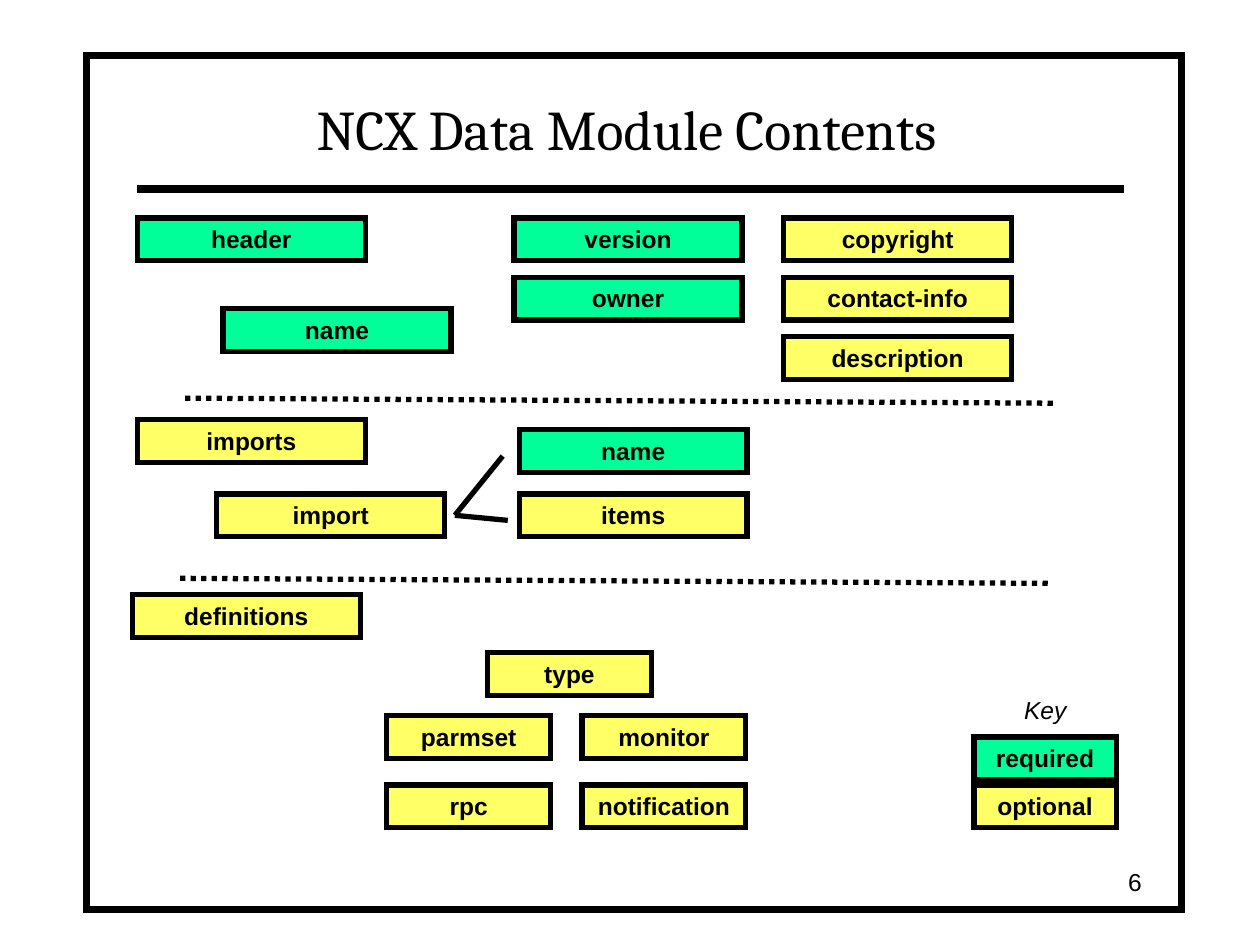
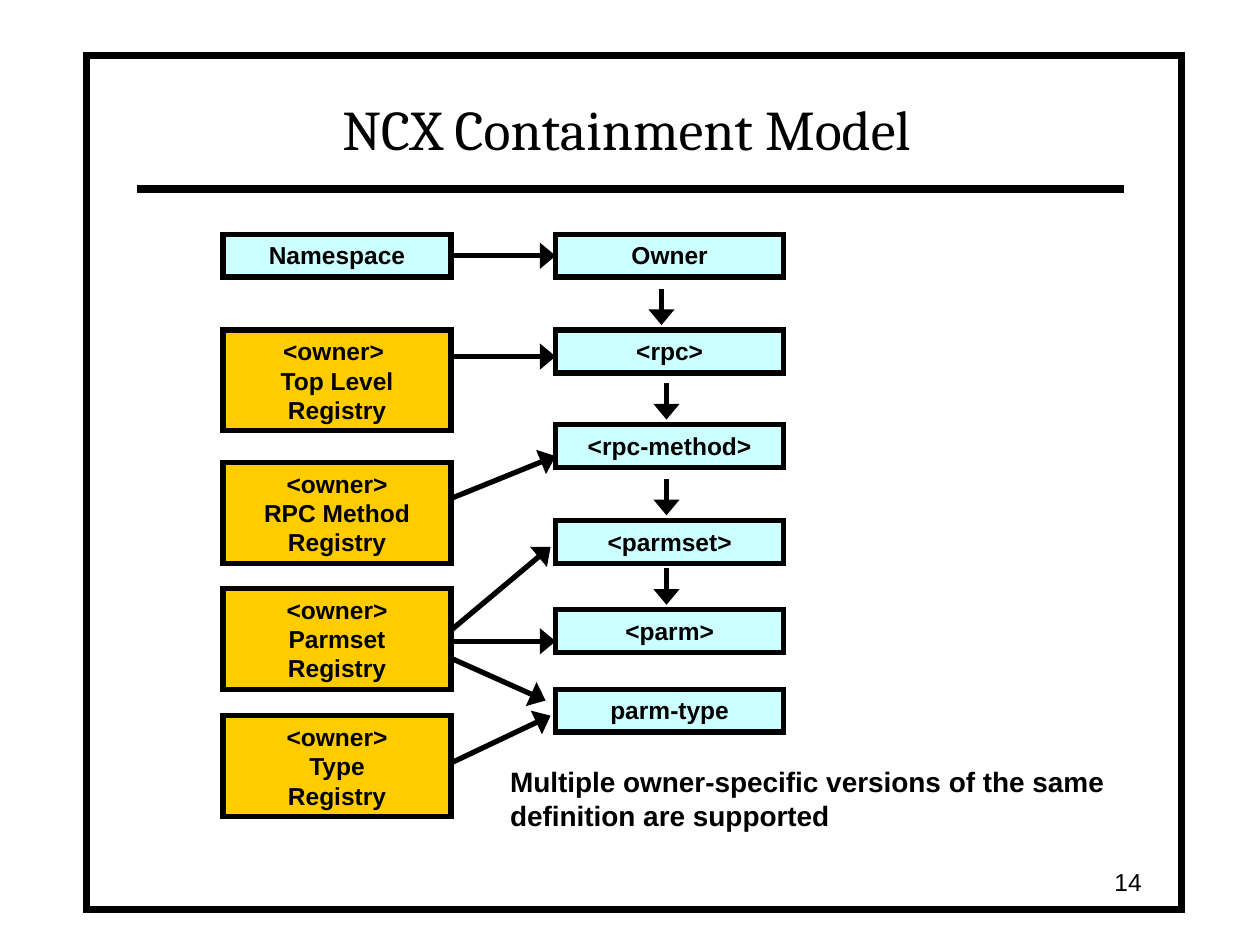
from lxml import etree
from pptx import Presentation
from pptx.dml.color import RGBColor
from pptx.enum import dml, shapes, text
from pptx.oxml import ns
from pptx.util import Inches, Pt

BLACK = RGBColor(0x00, 0x00, 0x00)
WHITE = RGBColor(0xFF, 0xFF, 0xFF)
REQUIRED = RGBColor(0x00, 0xFF, 0x99)
OPTIONAL = RGBColor(0xFF, 0xFF, 0x66)
ELEMENT = RGBColor(0xCC, 0xFF, 0xFF)
REGISTRY = RGBColor(0xFF, 0xCC, 0x00)

BODY_FONT = "Arial"
TITLE_FONT = "Cambria"
BOX_WIDTH, BOX_HEIGHT = 1.81, 0.34
SMALL_WIDTH, KEY_WIDTH = 1.3, 1.13
REGISTRY_HEIGHT = 0.8


def add_run(paragraph, content, size=14, name=BODY_FONT, bold=False, italic=False):
    run = paragraph.add_run()
    run.text = content
    font = run.font
    font.name, font.size = name, Pt(size)
    font.bold, font.italic = bold, italic
    font.color.rgb = BLACK


def add_outline_detail(shape, tag, **attributes):
    """Append an element such as a line join or arrowhead to the outline."""
    outline = shape.element.spPr.find(ns.qn("a:ln"))
    etree.SubElement(outline, ns.qn(tag), **attributes)


def add_rectangle(slide, left, top, width, height, fill, line_width):
    shape = slide.shapes.add_shape(shapes.MSO_SHAPE.RECTANGLE, Inches(left),
                                   Inches(top), Inches(width), Inches(height))
    shape.shadow.inherit = False
    shape.fill.solid()
    shape.fill.fore_color.rgb = fill
    shape.line.color.rgb = BLACK
    shape.line.width = Pt(line_width)
    add_outline_detail(shape, "a:miter", lim="800000")
    return shape


def add_box(slide, label, left, top, fill, width=BOX_WIDTH, height=BOX_HEIGHT):
    """Add an outlined box whose label may span several lines."""
    shape = add_rectangle(slide, left, top, width, height, fill, 3)
    frame = shape.text_frame
    frame.word_wrap = True
    frame.vertical_anchor = text.MSO_ANCHOR.TOP
    frame.auto_size = text.MSO_AUTO_SIZE.SHAPE_TO_FIT_TEXT
    paragraph = frame.paragraphs[0]
    paragraph.alignment = text.PP_ALIGN.CENTER
    for index, line in enumerate(label.split("\n")):
        if index:
            paragraph.add_line_break()
        add_run(paragraph, line, bold=True)
    return shape


def add_line(slide, start_x, start_y, end_x, end_y, width=3, dotted=False, arrow=False):
    connector = slide.shapes.add_connector(
        shapes.MSO_CONNECTOR.STRAIGHT, Inches(start_x), Inches(start_y),
        Inches(end_x), Inches(end_y))
    line = connector.line
    line.color.rgb = BLACK
    line.width = Pt(width)
    if dotted:
        line.dash_style = dml.MSO_LINE.ROUND_DOT
    if arrow:
        add_outline_detail(connector, "a:tailEnd", type="triangle", w="lg", len="med")
    etree.SubElement(connector.element.spPr, ns.qn("a:effectLst"))
    return connector


def add_text(slide, content, left, top, width, height, align=text.PP_ALIGN.LEFT,
             anchor=text.MSO_ANCHOR.TOP, **style):
    frame = slide.shapes.add_textbox(Inches(left), Inches(top), Inches(width),
                                     Inches(height)).text_frame
    frame.word_wrap = True
    frame.vertical_anchor = anchor
    paragraph = frame.paragraphs[0]
    paragraph.alignment = align
    add_run(paragraph, content, **style)


def decorate_layout(layout, slide):
    """Give the layout its title position, page frame and title rule."""
    title = layout.placeholders[0]
    title.left, title.top = Inches(1.08), Inches(0.58)
    title.width, title.height = Inches(7.79), Inches(0.75)
    page_frame = add_rectangle(slide, 0.69, 0.44, 8.69, 6.78, WHITE, 4)
    title_rule = add_line(slide, 1.09, 1.5, 8.92, 1.5, width=4.5)
    for index, shape in enumerate((page_frame, title_rule)):
        shape.element.xpath(".//p:cNvPr")[0].set("id", str(100 + index))
        layout.shapes.element.insert(2 + index, shape.element)


def add_titled_slide(presentation, title, number):
    layout = presentation.slide_layouts[5]
    slide = presentation.slides.add_slide(layout)
    if len(presentation.slides) == 1:
        decorate_layout(layout, slide)
    frame = slide.shapes.title.text_frame
    frame.word_wrap = True
    frame.auto_size = text.MSO_AUTO_SIZE.NONE
    frame.vertical_anchor = text.MSO_ANCHOR.BOTTOM
    paragraph = frame.paragraphs[0]
    paragraph.alignment = text.PP_ALIGN.CENTER
    add_run(paragraph, title, size=32, name=TITLE_FONT)
    add_text(slide, number, 7.08, 6.83, 2.08, 0.33,
             align=text.PP_ALIGN.RIGHT, anchor=text.MSO_ANCHOR.MIDDLE)
    return slide


def add_header_section(slide, left, top):
    add_box(slide, "header", left, top, REQUIRED)
    add_box(slide, "name", left + 0.68, top + 0.72, REQUIRED)
    columns = ((2.99, REQUIRED, ("version", "owner")),
               (5.13, OPTIONAL, ("copyright", "contact-info", "description")))
    for offset, fill, labels in columns:
        for row, label in enumerate(labels):
            add_box(slide, label, left + offset, top + row * 0.47, fill)


def add_imports_section(slide, left, top):
    add_box(slide, "imports", left, top, OPTIONAL)
    add_box(slide, "import", left + 0.63, top + 0.59, OPTIONAL)
    add_box(slide, "name", left + 3.03, top + 0.08, REQUIRED)
    add_box(slide, "items", left + 3.03, top + 0.59, OPTIONAL)
    for end_x, end_y in ((2.9, 0.29), (2.94, 0.8)):
        add_line(slide, left + 2.52, top + 0.76, left + end_x, top + end_y)


def add_definitions_section(slide, left, top):
    add_box(slide, "definitions", left, top, OPTIONAL)
    add_box(slide, "type", left + 2.82, top + 0.46, OPTIONAL, SMALL_WIDTH)
    for row, labels in enumerate((("parmset", "monitor"), ("rpc", "notification"))):
        for column, label in enumerate(labels):
            add_box(slide, label, left + 2.02 + column * 1.55,
                    top + 0.96 + row * 0.55, OPTIONAL, SMALL_WIDTH)


def add_key(slide, left, top):
    add_text(slide, "Key", left + 0.3, top, 0.8, 0.34, italic=True)
    add_box(slide, "required", left, top + 0.38, REQUIRED, KEY_WIDTH)
    add_box(slide, "optional", left, top + 0.76, OPTIONAL, KEY_WIDTH)


def build_module_contents(presentation):
    slide = add_titled_slide(presentation, "NCX Data Module Contents", "6")
    add_header_section(slide, 1.09, 1.73)
    add_imports_section(slide, 1.09, 3.33)
    add_definitions_section(slide, 1.05, 4.72)
    for left, top in ((1.47, 3.16), (1.43, 4.59)):
        add_line(slide, left, top, left + 6.89, top + 0.04, dotted=True)
    add_key(slide, 7.73, 5.47)


def add_element_chain(slide, left, top):
    """Stack the contained elements, with arrows down to <parm>; return the first."""
    elements = (("Owner", 0), ("<rpc>", 0.76), ("<rpc-method>", 1.51),
                ("<parmset>", 2.27), ("<parm>", 2.98), ("parm-type", 3.61))
    boxes = [add_box(slide, label, left, top + offset, ELEMENT)
             for label, offset in elements]
    for index, (_, offset) in enumerate(elements[1:-1]):
        x = left + (0.88 if index else 0.84)
        tip = top + offset - 0.04
        add_line(slide, x, tip - 0.29, x, tip, arrow=True)
    return boxes[0]


def add_registries(slide, left, top):
    """Stack the namespace and registries; return the namespace box."""
    namespace = add_box(slide, "Namespace", left, top, ELEMENT)
    registries = (("<owner> \nTop Level", 0.76), ("<owner>\nRPC Method", 1.81),
                  ("<owner>\nParmset", 2.81), ("<owner>\nType", 3.82))
    for label, offset in registries:
        add_box(slide, label + "\nRegistry", left, top + offset, REGISTRY,
                height=REGISTRY_HEIGHT)
    return namespace


def add_registry_arrows(slide, left, top):
    """Point from the registries' right edge to the elements they hold."""
    for start_y, end_x, end_y in ((0.97, 0.84, 0.97), (2.1, 0.84, 1.76),
                                  (3.15, 0.8, 2.48), (3.23, 0.84, 3.23),
                                  (3.36, 0.76, 3.7), (4.2, 0.8, 3.82)):
        add_line(slide, left, top + start_y, left + end_x, top + end_y, arrow=True)


def build_containment_model(presentation):
    slide = add_titled_slide(presentation, "NCX Containment Model", "14")
    namespace = add_registries(slide, 1.77, 1.86)
    owner = add_element_chain(slide, 4.41, 1.86)
    link = add_line(slide, 3.57, 2.03, 4.41, 2.03, arrow=True)
    link.begin_connect(namespace, 3)
    link.end_connect(owner, 1)
    add_registry_arrows(slide, 3.57, 1.86)
    add_text(slide, "Multiple owner-specific versions of the same definition are supported",
             3.95, 6.02, 5.12, 0.64, size=16, bold=True)


def main():
    presentation = Presentation()
    presentation.slide_width, presentation.slide_height = Inches(10), Inches(7.5)
    build_module_contents(presentation)
    build_containment_model(presentation)
    presentation.save("out.pptx")


if __name__ == "__main__":
    main()
